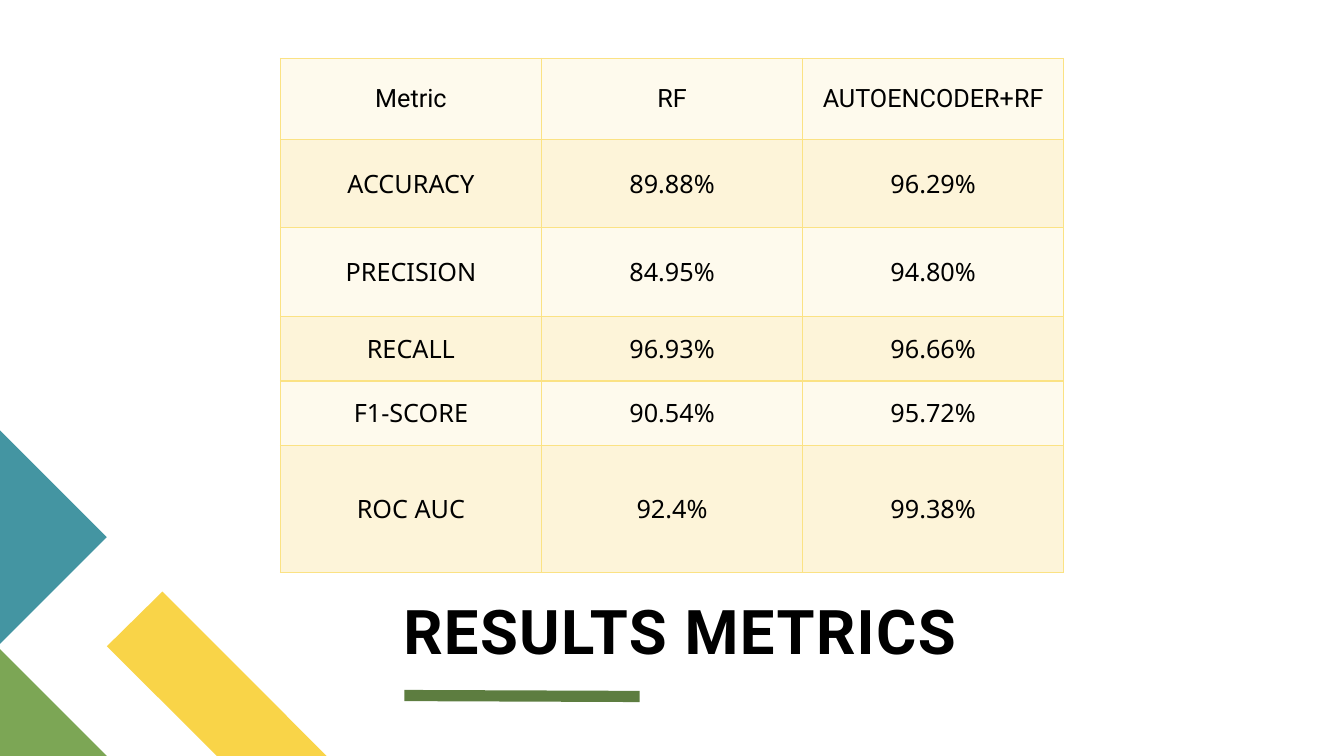
import pptx
import pptx.dml.color
import pptx.enum.dml
import pptx.enum.shapes
import pptx.enum.text
import pptx.oxml
import pptx.oxml.ns
import pptx.util

WIDE, HIGH = pptx.util.Inches(13.33), pptx.util.Inches(7.5)
HUES = {
    "teal": "4495A2", "green": "7CA655", "yellow": "F9D448", "rule": "5D7D40",
    "pale": "FEFAED", "cream": "FDF4D9", "edge": "FBE284", "ink": "000000",
}
TILES = {
    "yellow": [(32.7, 66.3), (49.7, 49.5), (100, 100), (66.4, 100)],
    "green": [(0, 67.2), (32.7, 100), (0, 100)],
    "teal": [(0, 0), (32.7, 32.8), (0, 65.6)],
}
ROWS = [
    (10, "Metric", "RF", "AUTOENCODER+RF"),
    (11, "ACCURACY", "89.88%", "96.29%"),
    (11, "PRECISION", "84.95%", "94.80%"),
    (8, "RECALL", "96.93%", "96.66%"),
    (8, "F1-SCORE", "90.54%", "95.72%"),
    (15.75, "ROC AUC", "92.4%", "99.38%"),
]


def hue(name):
    """Return the named colour."""
    return pptx.dml.color.RGBColor.from_string(HUES[name])


def place(left, top, width, height):
    """Turn percentages of the slide into a box of lengths."""
    sides = (left, WIDE), (top, HIGH), (width, WIDE), (height, HIGH)
    return [round(part * full / 100) for part, full in sides]


def style(item, **values):
    """Set each given attribute on the item."""
    for name, value in values.items():
        setattr(item, name, value)


def ink(run, face, size, bold):
    """Give a run its font and colour."""
    style(run.font, name=face, size=pptx.util.Pt(size), bold=bold)
    run.font.color.rgb = hue("ink")


def corner(slide, box):
    """Draw the coloured tiles inside the box."""
    left, top, width, height = box
    for name, spots in TILES.items():
        ends = [(round(left + x * width / 100), round(top + y * height / 100))
                for x, y in spots]
        pen = slide.shapes.build_freeform(*ends[0])
        pen.add_line_segments(ends[1:], close=True)
        tile = pen.convert_to_shape()
        tile.shadow.inherit = False
        tile.fill.solid()
        tile.fill.fore_color.rgb = hue(name)
        tile.line.fill.background()


def border(cell):
    """Put a thin line on every side of the cell."""
    props = cell._tc.get_or_add_tcPr()
    for spot, side in enumerate(("lnL", "lnR", "lnT", "lnB")):
        props.insert(spot, pptx.oxml.parse_xml(
            f'<a:{side} {pptx.oxml.ns.nsdecls("a")} w="12700"><a:solidFill>'
            f'<a:srgbClr val="{HUES["edge"]}"/></a:solidFill></a:{side}>'))


def scores(slide, box):
    """Fill the box with the table of scores."""
    grid = slide.shapes.add_table(len(ROWS), len(ROWS[0]) - 1, *box).table
    style(grid, first_row=False, horz_banding=False)
    total = sum(row[0] for row in ROWS)
    for col in grid.columns:
        col.width = round(box[2] / len(grid.columns))
    for r, (share, *texts) in enumerate(ROWS):
        grid.rows[r].height = round(box[3] * share / total)
        for c, text in enumerate(texts):
            cell = grid.cell(r, c)
            cell.vertical_anchor = pptx.enum.text.MSO_ANCHOR.MIDDLE
            cell.fill.solid()
            cell.fill.fore_color.rgb = hue("cream" if r % 2 else "pale")
            border(cell)
            para = cell.text_frame.paragraphs[0]
            para.alignment = pptx.enum.text.PP_ALIGN.CENTER
            run = para.add_run()
            run.text = text
            ink(run, "Noto Sans" if r else "Roboto", 18, False)


def title(slide, box):
    """Set the title at the foot of the box, with a rule below it."""
    left, top, width, height = box
    frame = slide.shapes.add_textbox(*box).text_frame
    style(frame, word_wrap=True, margin_left=0, margin_right=0, margin_top=0,
          margin_bottom=0, vertical_anchor=pptx.enum.text.MSO_ANCHOR.BOTTOM)
    para = frame.paragraphs[0]
    para.line_spacing = 0.8
    run = para.add_run()
    run.text = "RESULTS METRICS"
    ink(run, "Roboto", 44, True)
    run.font._element.set("spc", "100")

    rule = slide.shapes.add_connector(
        pptx.enum.shapes.MSO_CONNECTOR.STRAIGHT,
        left + round(WIDE * 0.0008), round(HIGH * 0.92),
        left + round(width * 0.27), round(HIGH * 0.9213))
    rule.line.width = pptx.util.Pt(8)
    rule.line.color.rgb = hue("rule")
    rule._element.spPr.append(pptx.oxml.parse_xml(
        f'<a:effectLst {pptx.oxml.ns.nsdecls("a")}/>'))


def main():
    """Build and save the slide."""
    deck = pptx.Presentation()
    style(deck, slide_width=WIDE, slide_height=HIGH)
    slide = deck.slides.add_slide(deck.slide_layouts[6])
    corner(slide, place(0, 56.93, 24.31, 43.07))
    title(slide, place(30.01, 68, 65.12, 20.13))
    scores(slide, place(20.86, 7.73, 58.29, 68))
    deck.save("out.pptx")


if __name__ == "__main__":
    main()
